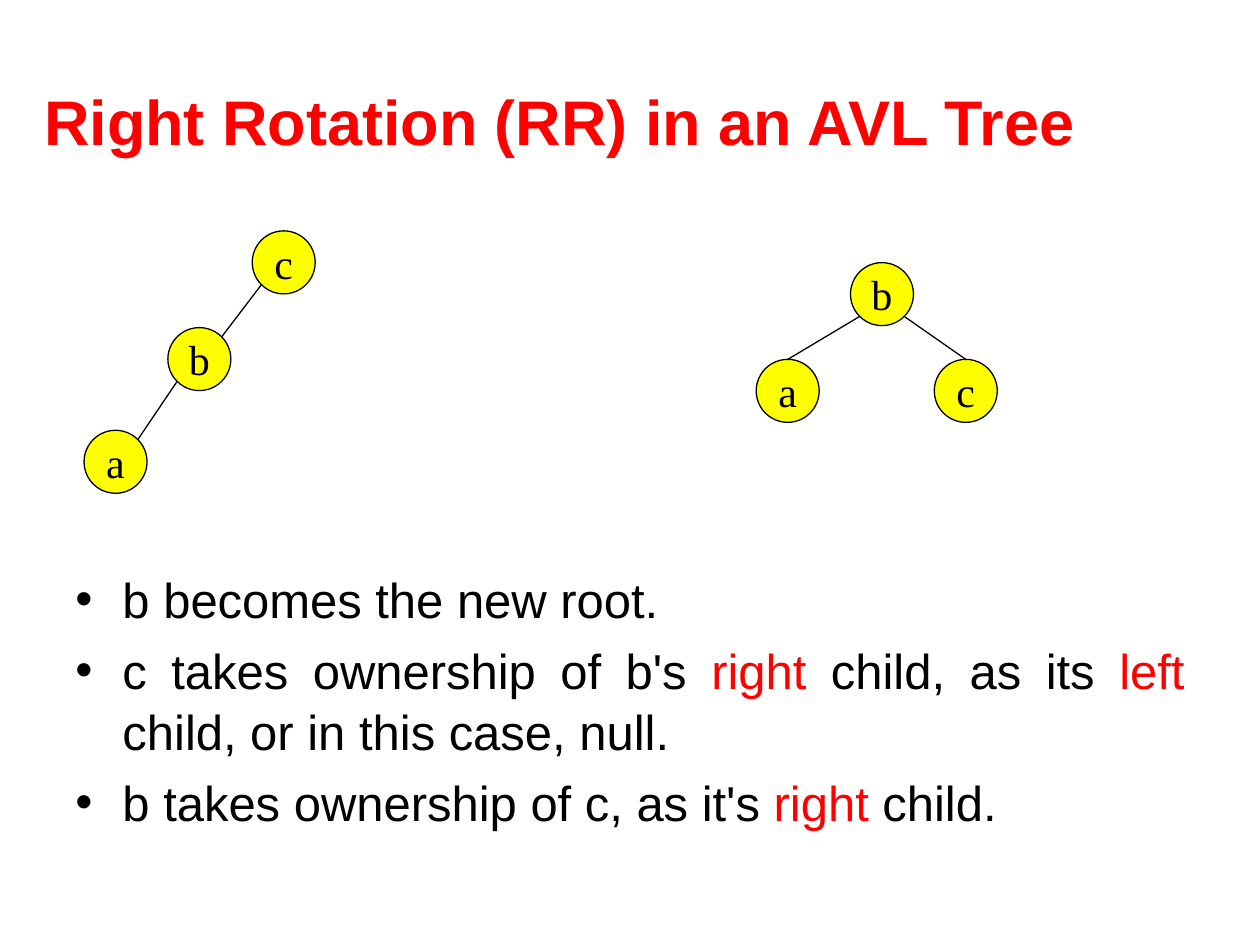
from math import cos, radians, sin

from lxml.etree import SubElement
from pptx import Presentation
from pptx.dml.color import RGBColor
from pptx.enum.shapes import MSO_CONNECTOR, MSO_SHAPE
from pptx.enum.text import MSO_ANCHOR, PP_ALIGN
from pptx.oxml.ns import qn
from pptx.util import Cm, Pt

RED = RGBColor(0xFF, 0x00, 0x00)
BLACK = RGBColor(0x00, 0x00, 0x00)
YELLOW = RGBColor(0xFF, 0xFF, 0x00)

TITLE = "Right Rotation (RR) in an AVL Tree"
STEPS = [
    [("b becomes the new root.", BLACK)],
    [("c takes ownership of b's ", BLACK), ("right", RED), (" child, as its ", BLACK),
     ("left", RED), (" child, or in this case, null. ", BLACK)],
    [("b takes ownership of c, as it's ", BLACK), ("right", RED), (" child. ", BLACK)],
]

TOP, LOWER_RIGHT, LOWER_LEFT, UPPER_RIGHT = -90, 45, 135, -45
TREES = [
    {"nodes": {"b": (17.78, 5.93), "a": (15.88, 7.88), "c": (19.47, 7.88)},
     "edges": [("b", LOWER_LEFT, "a", TOP), ("b", LOWER_RIGHT, "c", TOP)]},
    {"nodes": {"c": (5.72, 5.29), "a": (2.33, 9.31), "b": (4.02, 7.24)},
     "edges": [("c", LOWER_LEFT, "b", UPPER_RIGHT), ("b", LOWER_LEFT, "a", UPPER_RIGHT)]},
]
RADIUS = 0.635
LINE_WIDTH = Pt(0.75)

TITLE_FONT = {"name": "Arial", "size": Pt(36), "bold": True}
STEP_FONT = {"name": "Arial", "size": Pt(28)}
NODE_FONT = {"name": "Times New Roman", "size": Pt(24)}
STEP_SPACING = {"alignment": PP_ALIGN.JUSTIFY, "space_before": Pt(5.6), "line_spacing": 1.04}


def set_all(target, values):
    for key, value in values.items():
        setattr(target, key, value)


def add_words(paragraph, words, font, color):
    run = paragraph.add_run()
    run.text = words
    set_all(run.font, font)
    run.font.color.rgb = color


def add_text_frame(slide, left, top, width, height, anchor):
    frame = slide.shapes.add_textbox(Cm(left), Cm(top), Cm(width), Cm(height)).text_frame
    set_all(frame, {"word_wrap": True, "vertical_anchor": anchor})
    return frame


def add_bullet(paragraph):
    properties = paragraph._p.get_or_add_pPr()
    properties.set("marL", str(Cm(0.95)))
    properties.set("indent", str(Cm(-0.95)))
    SubElement(properties, qn("a:buFont"), typeface="Arial")
    SubElement(properties, qn("a:buChar"), char="•")


def add_node(tree, label, center):
    left, top = (Cm(value - RADIUS) for value in center)
    node = tree.shapes.add_shape(MSO_SHAPE.OVAL, left, top, Cm(2 * RADIUS), Cm(2 * RADIUS))
    node.shadow.inherit = False
    node.fill.solid()
    node.fill.fore_color.rgb = YELLOW
    node.line.color.rgb = BLACK
    node.line.width = LINE_WIDTH
    set_all(node.text_frame, {"word_wrap": False, "vertical_anchor": MSO_ANCHOR.MIDDLE})
    paragraph = node.text_frame.paragraphs[0]
    paragraph.alignment = PP_ALIGN.CENTER
    add_words(paragraph, label, NODE_FONT, BLACK)


def rim_point(center, angle):
    x, y = center
    return Cm(x + RADIUS * cos(radians(angle))), Cm(y + RADIUS * sin(radians(angle)))


def add_edge(tree, start, end):
    edge = tree.shapes.add_connector(MSO_CONNECTOR.STRAIGHT, *start, *end)
    edge.line.color.rgb = BLACK
    edge.line.width = LINE_WIDTH
    SubElement(edge._element.spPr, qn("a:effectLst"))


def add_tree(slide, nodes, edges):
    tree = slide.shapes.add_group_shape()
    for label, center in nodes.items():
        add_node(tree, label, center)
    for parent, parent_angle, child, child_angle in edges:
        add_edge(tree, rim_point(nodes[parent], parent_angle),
                 rim_point(nodes[child], child_angle))


def main():
    deck = Presentation()
    deck.slide_width, deck.slide_height = Cm(25.4), Cm(19.05)
    slide = deck.slides.add_slide(deck.slide_layouts[6])

    heading = add_text_frame(slide, 0.64, 1.47, 22.86, 1.9, MSO_ANCHOR.MIDDLE).paragraphs[0]
    heading.alignment = PP_ALIGN.JUSTIFY
    add_words(heading, TITLE, TITLE_FONT, RED)

    steps = add_text_frame(slide, 1.27, 11.3, 22.86, 5.7, MSO_ANCHOR.TOP)
    for index, parts in enumerate(STEPS):
        step = steps.add_paragraph() if index else steps.paragraphs[0]
        set_all(step, STEP_SPACING)
        add_bullet(step)
        for words, color in parts:
            add_words(step, words, STEP_FONT, color)

    for tree in TREES:
        add_tree(slide, **tree)

    deck.save("out.pptx")


if __name__ == "__main__":
    main()
